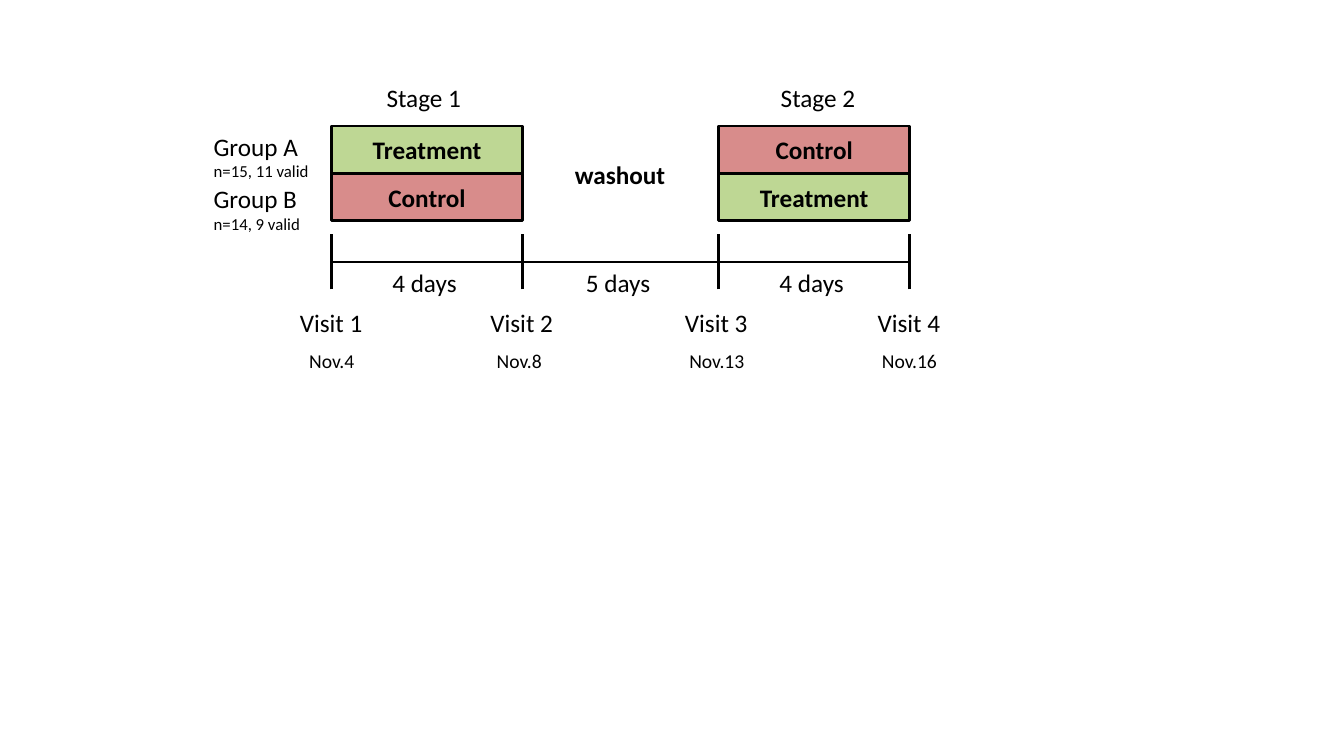
from pptx import Presentation
from pptx.dml.color import RGBColor
from pptx.enum.shapes import MSO_CONNECTOR, MSO_SHAPE
from pptx.enum.text import MSO_ANCHOR, MSO_AUTO_SIZE, PP_ALIGN
from pptx.oxml.ns import qn
from pptx.util import Inches, Pt
from lxml.etree import SubElement

BLACK = "000000"
ARMS = {"Treatment": "BED794", "Control": "D88C8B"}
VISIT_X = (3.29, 5.18, 7.13, 9.02)
STAGES = [(0, ("Treatment", "Control")), (2, ("Control", "Treatment"))]
GROUPS = [("Group A", "n=15, 11 valid", 1.15), ("Group B", "n=14, 9 valid", 1.07)]
BAR_TOP, BAR_HEIGHT = 1.25, 0.47
GROUP_LEFT, GROUP_PITCH, GROUP_HEIGHT = 2.02, 0.52, 0.61
AXIS_Y, TICK_TOP, TICK_BOTTOM = 2.6, 2.32, 2.87

LEFT, CENTER, RIGHT = PP_ALIGN.LEFT, PP_ALIGN.CENTER, PP_ALIGN.RIGHT
BODY = {"size": Pt(18), "bold": False}
STRONG = {"size": Pt(18), "bold": True}
DATE = {"size": Pt(14), "bold": False}
NOTE = {"size": Pt(12), "bold": False}

LABEL_ROWS = [
    (0.77, 0.95, 0.4, LEFT, BODY, [("Stage 1", 4.21), ("Stage 2", 8.12)]),
    (1.53, 1.1, 0.4, CENTER, STRONG, [("washout", 6.15)]),
    (2.6, 0.85, 0.4, CENTER, BODY,
     [("4 days", 4.21), ("5 days", 6.13), ("4 days", 8.05)]),
    (3.0, 0.83, 0.4, LEFT, BODY,
     [("Visit 1", 3.29), ("Visit 2", 5.18), ("Visit 3", 7.11), ("Visit 4", 9.02)]),
    (3.41, 0.65, 0.34, CENTER, DATE, [("Nov.4", 3.29), ("Nov.8", 5.15)]),
    (3.41, 0.75, 0.34, CENTER, DATE, [("Nov.13", 7.11), ("Nov.16", 9.02)]),
]


def color(code):
    return RGBColor.from_string(code)


def write(frame, lines):
    for index, (text, align, style) in enumerate(lines):
        para = frame.add_paragraph() if index else frame.paragraphs[0]
        para.alignment = align
        span = para.add_run()
        span.text = text
        for name, value in style.items():
            setattr(span.font, name, value)
        span.font.name = "Calibri"
        span.font.color.rgb = color(BLACK)


def outline(shape):
    shape.line.color.rgb = color(BLACK)
    shape.line.width = Pt(2)


def add_label(page, place, lines):
    box = page.shapes.add_textbox(*map(Inches, place))
    box.text_frame.word_wrap = False
    box.text_frame.auto_size = MSO_AUTO_SIZE.SHAPE_TO_FIT_TEXT
    write(box.text_frame, lines)


def add_rule(page, *ends):
    rule = page.shapes.add_connector(MSO_CONNECTOR.STRAIGHT, *map(Inches, ends))
    outline(rule)
    SubElement(rule.element.spPr, qn("a:effectLst"))


def add_bar(page, place, arm):
    bar = page.shapes.add_shape(MSO_SHAPE.RECTANGLE, *map(Inches, place))
    bar.shadow.inherit = False
    bar.fill.solid()
    bar.fill.fore_color.rgb = color(ARMS[arm])
    outline(bar)
    bar.text_frame.vertical_anchor = MSO_ANCHOR.MIDDLE
    write(bar.text_frame, [(arm, CENTER, STRONG)])


def main():
    deck = Presentation()
    deck.slide_width, deck.slide_height = Inches(13.33), Inches(7.5)
    page = deck.slides.add_slide(deck.slide_layouts[6])

    add_rule(page, VISIT_X[0], AXIS_Y, VISIT_X[-1], AXIS_Y)
    for x in VISIT_X:
        add_rule(page, x, TICK_BOTTOM, x, TICK_TOP)

    for visit, arms in STAGES:
        left, right = VISIT_X[visit:visit + 2]
        for row, arm in enumerate(arms):
            top = BAR_TOP + row * BAR_HEIGHT
            add_bar(page, (left, top, right - left, BAR_HEIGHT), arm)

    for row, (name, count, width) in enumerate(GROUPS):
        top = BAR_TOP + row * GROUP_PITCH
        add_label(page, (GROUP_LEFT, top, width, GROUP_HEIGHT),
                  [(name, LEFT, BODY), (count, RIGHT, NOTE)])

    for top, width, height, align, style, labels in LABEL_ROWS:
        for text, middle in labels:
            add_label(page, (middle - width / 2, top, width, height),
                      [(text, align, style)])

    deck.save("out.pptx")


if __name__ == "__main__":
    main()
